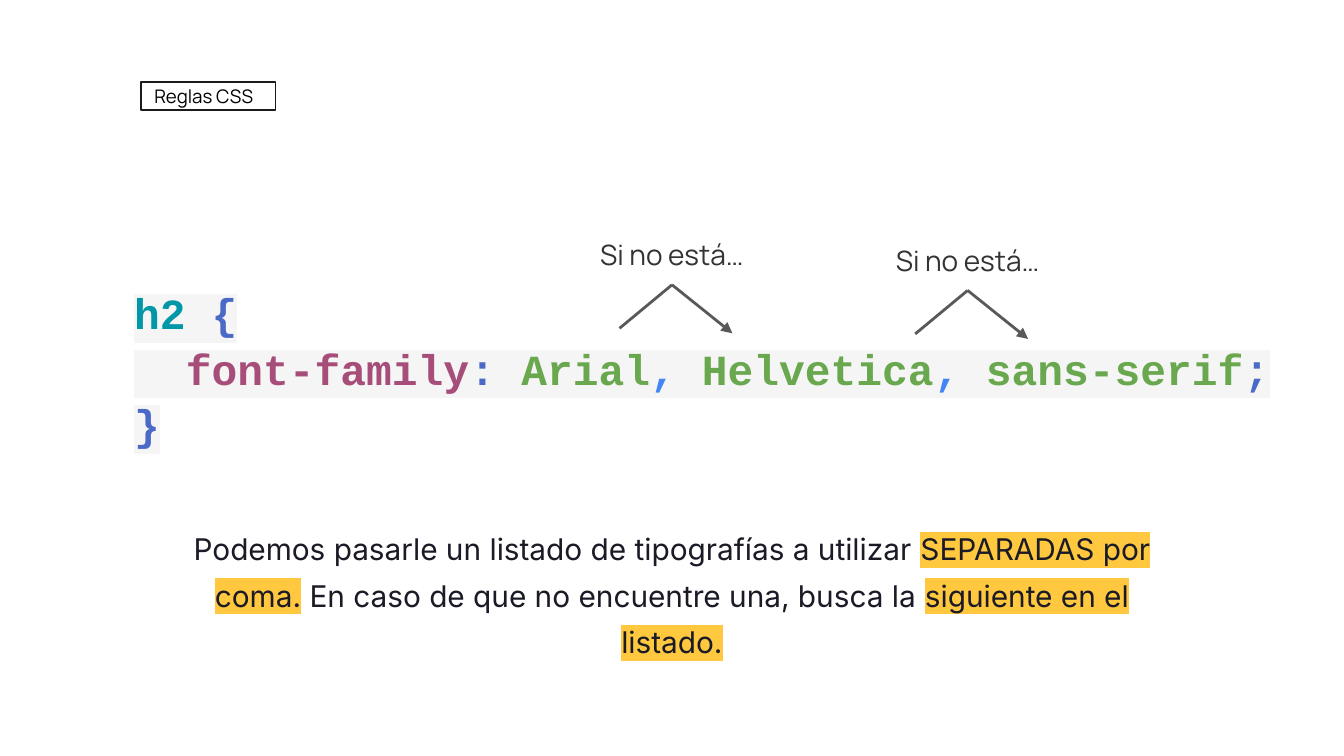
from lxml.etree import SubElement
from pptx import Presentation
from pptx.dml.color import RGBColor
from pptx.enum.shapes import MSO_CONNECTOR, MSO_SHAPE
from pptx.enum.text import MSO_ANCHOR, MSO_AUTO_SIZE, PP_ALIGN
from pptx.oxml import parse_xml
from pptx.oxml.ns import nsdecls, qn
from pptx.util import Pt

CODE_FONT = {"name": "Courier New", "size": Pt(23), "bold": True}
TAG_FONT = {"name": "Manrope", "size": Pt(10)}
LABEL_FONT = {"name": "Manrope", "size": Pt(15)}
BODY_FONT = {"name": "Inter", "size": Pt(16)}

TEAL, BLUE, PURPLE = "0097A7", "4B69C6", "A64D79"
GREEN, COMMA_BLUE = "6AA84F", "4285F4"
CODE_BACK, YELLOW = "F5F5F5", "FFC83F"
INK, GREY, ARROW_GREY = "1A1B26", "333333", "595959"


def color(value):
    return RGBColor.from_string(value)


def set_values(target, values):
    for name, value in values.items():
        setattr(target, name, value)


def prepare_frame(shape, insets=(7.2, 7.2, 7.2, 7.2)):
    left, top, right, bottom = insets
    frame = shape.text_frame
    set_values(frame, {
        "word_wrap": True,
        "auto_size": MSO_AUTO_SIZE.SHAPE_TO_FIT_TEXT,
        "vertical_anchor": MSO_ANCHOR.TOP,
        "margin_left": Pt(left), "margin_top": Pt(top),
        "margin_right": Pt(right), "margin_bottom": Pt(bottom),
    })
    return frame


def add_text_box(slide, left, top, width, height):
    return prepare_frame(
        slide.shapes.add_textbox(Pt(left), Pt(top), Pt(width), Pt(height)))


def add_run(paragraph, text, font, text_color, highlight=None):
    run = paragraph.add_run()
    run.text = text
    set_values(run.font, font)
    run.font.color.rgb = color(text_color)
    if highlight:
        # The highlight must stand between the fill and the typeface
        run.font._element.find(qn("a:latin")).addprevious(parse_xml(
            f'<a:highlight {nsdecls("a")}><a:srgbClr val="{highlight}"/></a:highlight>'))


def add_tag(slide):
    shape = slide.shapes.add_shape(
        MSO_SHAPE.RECTANGLE, Pt(75.6), Pt(43.9), Pt(72), Pt(15.1))
    shape.shadow.inherit = False
    shape.fill.background()
    shape.line.color.rgb = color("1B1B1B")
    shape.line.width = Pt(0.75)
    paragraph = prepare_frame(shape, (7.2, 1.4, 0, 1.4)).paragraphs[0]
    paragraph.alignment = PP_ALIGN.LEFT
    add_run(paragraph, "Reglas CSS", TAG_FONT, "000000")


def add_code(slide):
    lines = [
        [("h2", TEAL), (" {", BLUE)],
        [("  ", BLUE), ("font-family", PURPLE), (": ", BLUE),
         ("Arial", GREEN), (",", COMMA_BLUE), (" Helvetica", GREEN),
         (",", COMMA_BLUE), (" sans-serif", GREEN), (";", BLUE)],
        [("}", BLUE)],
    ]
    frame = add_text_box(slide, 28.8, 158.4, 681.8, 88.6)
    for index, line in enumerate(lines):
        paragraph = frame.add_paragraph() if index else frame.paragraphs[0]
        set_values(paragraph, {
            "line_spacing": 0.5,
            "space_before": Pt(16 if index else 0),
            "space_after": Pt(16 if index == len(lines) - 1 else 0),
        })
        set_values_xml = paragraph._p.get_or_add_pPr()
        set_values_xml.set("marL", str(Pt(36)))
        set_values_xml.set("indent", "0")
        for text, text_color in line:
            add_run(paragraph, text, CODE_FONT, text_color, CODE_BACK)


def add_line(slide, start, end, arrow=False):
    connector = slide.shapes.add_connector(
        MSO_CONNECTOR.STRAIGHT, *(Pt(value) for value in (*start, *end)))
    connector.line.color.rgb = color(ARROW_GREY)
    connector.line.width = Pt(1.5)
    if arrow:
        SubElement(connector.line._get_or_add_ln(), qn("a:tailEnd"), type="triangle")
    SubElement(connector._element.spPr, qn("a:effectLst"))


def add_fallback(slide, center, top):
    """A label over a bent arrow from one typeface to the next."""
    frame = add_text_box(slide, center - 72, top, 144, 32.4)
    paragraph = frame.paragraphs[0]
    paragraph.alignment = PP_ALIGN.CENTER
    add_run(paragraph, "Si no está…", LABEL_FONT, GREY)
    peak = (center, top + 32.4)
    add_line(slide, peak, (center + 32.4, top + 58.4), arrow=True)
    add_line(slide, (center - 28.1, top + 55.7), peak)


def add_explanation(slide):
    paragraph = add_text_box(slide, 89.3, 271.4, 541.4, 84.2).paragraphs[0]
    set_values(paragraph, {"alignment": PP_ALIGN.CENTER, "line_spacing": 1.3})
    for text, highlight in [
        ("Podemos pasarle un listado de tipografías a utilizar ", None),
        ("SEPARADAS por coma.", YELLOW),
        (" En caso de que no encuentre una, busca la ", None),
        ("siguiente en el listado.", YELLOW),
    ]:
        add_run(paragraph, text, BODY_FONT, INK, highlight)


def main():
    presentation = Presentation()
    set_values(presentation, {"slide_width": Pt(720), "slide_height": Pt(405)})
    slide = presentation.slides.add_slide(presentation.slide_layouts[6])
    slide.background.fill.solid()
    slide.background.fill.fore_color.rgb = color("FFFFFF")

    # Topic tag and code sample
    add_tag(slide)
    add_code(slide)

    # Fallback arrows between the typefaces
    for center, top in [(360, 120.2), (518.4, 123.2)]:
        add_fallback(slide, center, top)

    # Explanation under the code
    add_explanation(slide)
    presentation.save("out.pptx")


if __name__ == "__main__":
    main()
